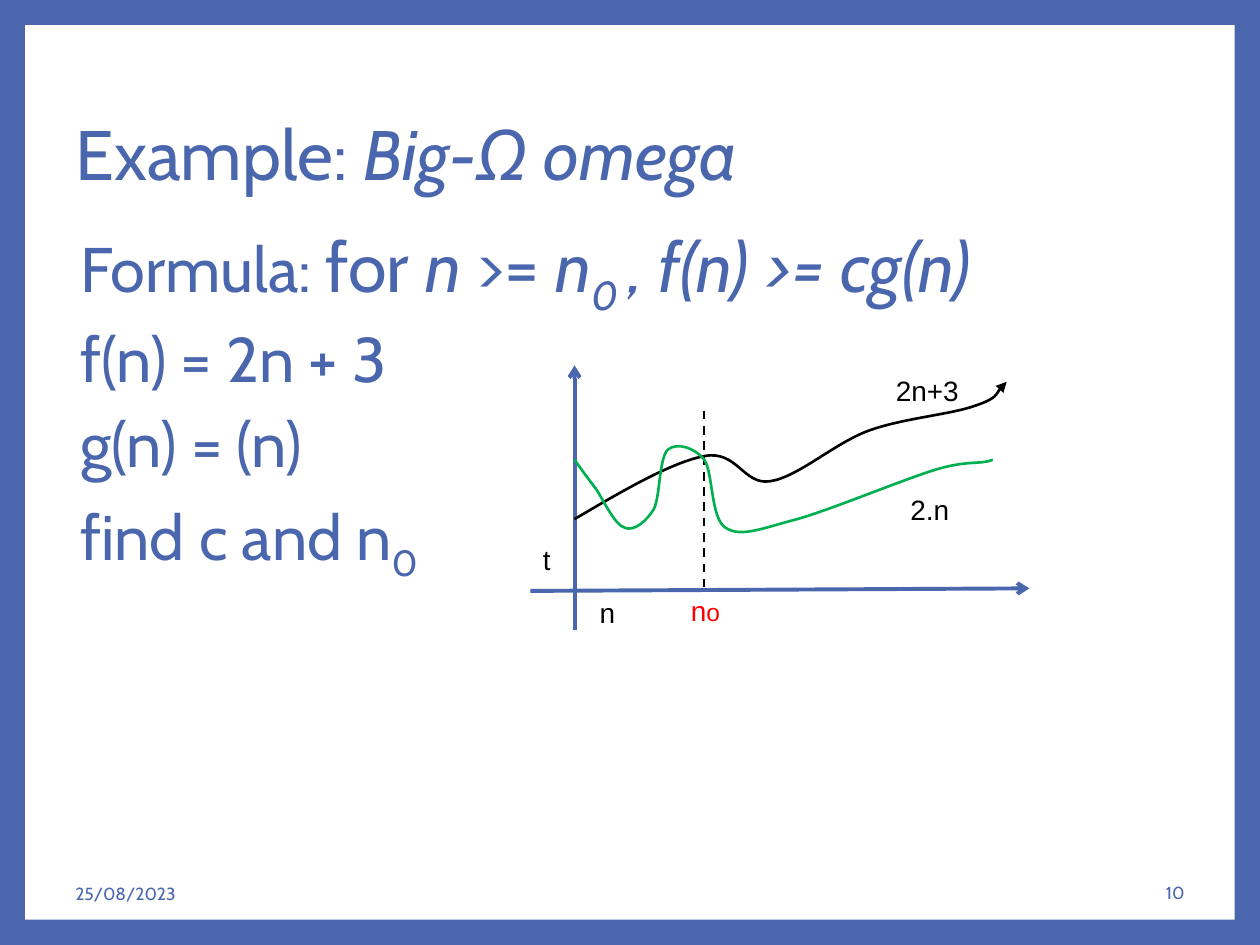
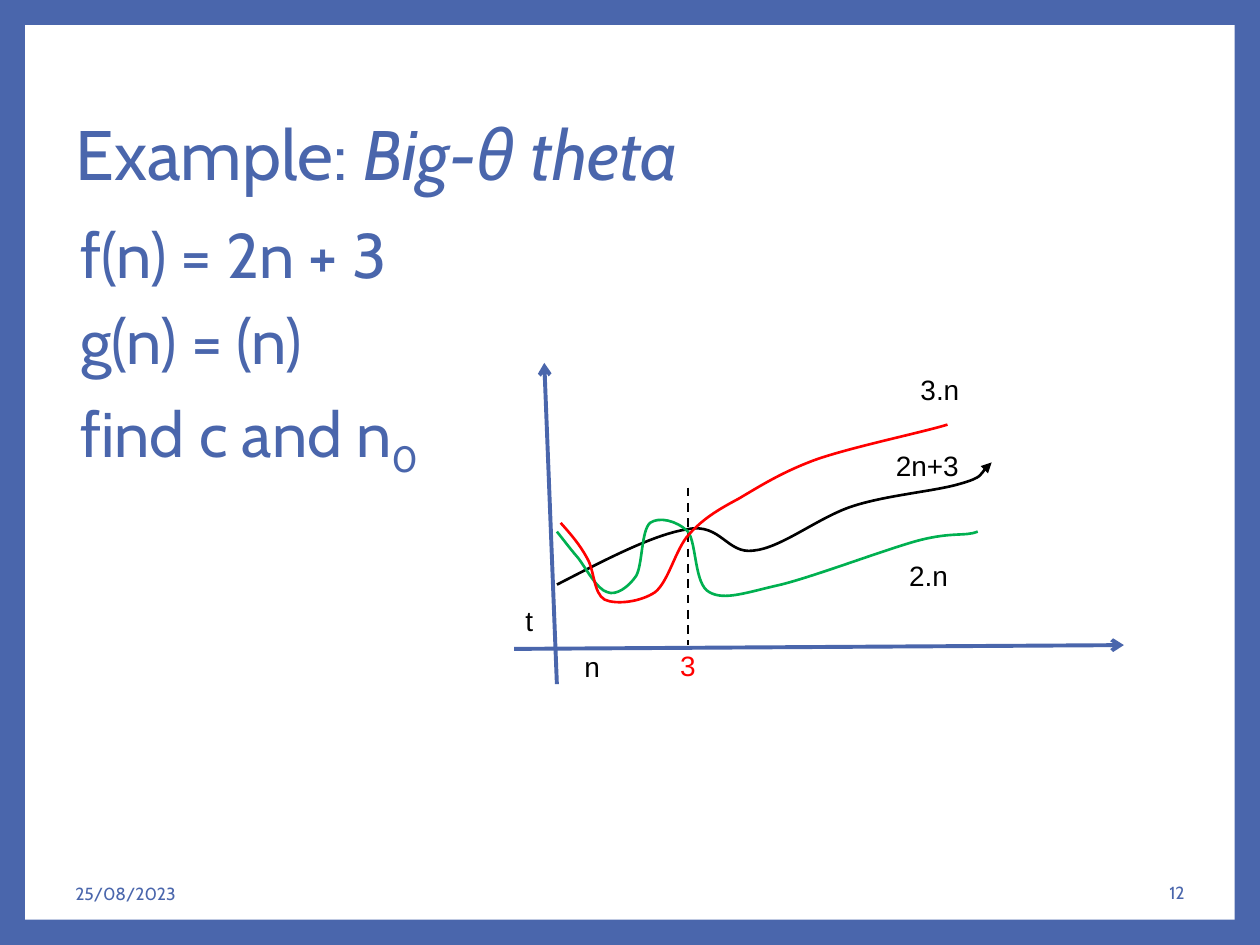
from lxml.etree import SubElement
from pptx import Presentation
from pptx.dml.color import RGBColor
from pptx.enum.dml import MSO_LINE_DASH_STYLE as Dash
from pptx.enum.shapes import MSO_CONNECTOR as Connector, MSO_SHAPE as Shape
from pptx.enum.text import MSO_ANCHOR as Anchor, MSO_AUTO_SIZE as AutoSize, PP_ALIGN as Align
from pptx.oxml.ns import qn
from pptx.util import Pt

PX = 9144
BLUE = RGBColor(0x4A, 0x66, 0xAC)
WHITE = RGBColor(0xFF, 0xFF, 0xFF)
BLACK = RGBColor(0, 0, 0)
GREEN = RGBColor(0, 0xB0, 0x50)
RED = RGBColor(0xFF, 0, 0)
TITLE_ONLY = 5

F_CURVE = [
    (0, 0), (39, -23), (77, -45), (103, -50), (129, -55), (134, -27), (155, -30), (177, -33),
    (206, -60), (233, -70), (260, -80), (299, -83), (318, -90), (336, -96), (338, -106), (343, -109),
]
LOWER_CURVE = [
    (0, -47), (5, -40), (10, -33), (17, -24), (23, -15), (32, 5), (40, 7), (47, 10), (57, 2),
    (63, -8), (68, -18), (67, -48), (74, -55), (81, -61), (95, -57), (103, -47), (110, -37),
    (108, 0), (120, 7), (132, 15), (150, 7), (177, 0), (205, -8), (260, -31), (286, -39),
    (312, -47), (322, -43), (332, -47),
]
UPPER_CURVE = [
    (445, 415), (453, 424), (460, 432), (466, 443), (472, 453), (471, 471), (480, 476),
    (489, 480), (508, 478), (520, 470), (531, 461), (536, 436), (547, 424), (558, 412),
    (569, 405), (586, 396), (603, 386), (620, 375), (647, 365), (675, 355), (733, 343), (752, 337),
]
EXERCISE = [
    [("f(n) = 2n + 3", {})],
    [("g(n) = (n)", {})],
    [("find c and n", {}), ("0", {"baseline": -25})],
]
FORMULA = [
    ("Formula: ", {}),
    ("for ", {"size": 40}),
    ("n", {"size": 40, "italic": True}),
    (" >= ", {"size": 40}),
    ("n", {"size": 40, "italic": True}),
    ("0 ", {"size": 40, "italic": True, "baseline": -25}),
    (", f(n) >= cg(n)", {"size": 40, "italic": True}),
]


def add_span(para, text, size=36, color=BLUE, font="Cabin", italic=False, baseline=0):
    span = para.add_run()
    span.text = text
    span.font.size = Pt(size)
    span.font.name = font
    span.font.italic = italic
    span.font.color.rgb = color
    if baseline:
        span._r.get_or_add_rPr().set("baseline", str(baseline * 1000))


def add_box(shapes, left, top, width, height, anchor=Anchor.MIDDLE):
    box = shapes.add_textbox(left * PX, top * PX, width * PX, height * PX)
    box.text_frame.word_wrap = True
    box.text_frame.vertical_anchor = anchor
    return box.text_frame


def add_panel(page):
    panel = page.shapes.add_shape(Shape.RECTANGLE, 20 * PX, 20 * PX, 960 * PX, 710 * PX)
    panel.shadow.inherit = False
    panel.fill.solid()
    panel.fill.fore_color.rgb = WHITE
    panel.line.fill.background()
    page.shapes._spTree.insert(2, panel._element)


def set_title(page, topic):
    title = page.shapes.title
    title.left, title.top, title.width, title.height = 50 * PX, 50 * PX, 900 * PX, 150 * PX
    title.text_frame.auto_size = AutoSize.NONE
    title.text_frame.vertical_anchor = Anchor.MIDDLE
    para = title.text_frame.paragraphs[0]
    para.alignment = Align.LEFT
    para.line_spacing = 0.9
    add_span(para, "Example: ", size=40)
    add_span(para, topic, size=40, italic=True)


def add_footer(page, number):
    date = add_box(page.shapes, 50, 683, 233, 52).paragraphs[0]
    add_span(date, "25/08/2023", size=10)
    para = add_box(page.shapes, 717, 683, 233, 50).paragraphs[0]
    para.alignment = Align.RIGHT
    add_span(para, str(number), size=10)


def add_page(deck, topic, number):
    page = deck.slides.add_slide(deck.slide_layouts[TITLE_ONLY])
    add_panel(page)
    set_title(page, topic)
    add_footer(page, number)
    return page


def add_body(page, lines):
    frame = add_box(page.shapes, 50, 173, 908, 425, Anchor.TOP)
    for index, spans in enumerate(lines):
        para = frame.add_paragraph() if index else frame.paragraphs[0]
        para.line_spacing = 0.9
        para.space_before = Pt(10)
        para._p.get_or_add_pPr().set("marL", str(4 * PX))
        for text, style in spans:
            add_span(para, text, **style)


def style_line(shape, color, width, arrow=None, dash=None):
    shape.line.color.rgb = color
    shape.line.width = Pt(width)
    if dash:
        shape.line.dash_style = dash
    if arrow:
        SubElement(shape.line._get_or_add_ln(), qn("a:tailEnd"), type=arrow)


def add_line(plot, start, end, color, width, **style):
    ends = [value * PX for value in (*start, *end)]
    line = plot.shapes.add_connector(Connector.STRAIGHT, *ends)
    style_line(line, color, width, **style)
    SubElement(line._element.spPr, qn("a:effectLst"))


def add_curve(plot, points, color, arrow=None):
    builder = plot.shapes.build_freeform(*points[0], scale=PX)
    builder.add_line_segments(points[1:], close=False)
    curve = builder.convert_to_shape()
    curve.shadow.inherit = False
    curve.fill.background()
    style_line(curve, color, 1.5, arrow)
    segments = list(curve._element.iter(qn("a:lnTo")))
    outline = segments[0].getparent()
    for first in range(0, len(segments), 3):
        bezier = SubElement(outline, qn("a:cubicBezTo"))
        for segment in segments[first:first + 3]:
            bezier.append(segment[0])
            outline.remove(segment)


def add_label(plot, center_x, center_y, *spans, color=BLACK):
    para = add_box(plot.shapes, center_x - 50, center_y - 21, 100, 42).paragraphs[0]
    para.alignment = Align.CENTER
    for text, size in spans:
        add_span(para, text, size=size, color=color, font="Arial")


def place(points, left, base, stretch_x, stretch_y):
    return [(round(left + x * stretch_x), round(base + y * stretch_y)) for x, y in points]


def add_plot(page, t_axis, n_axis, threshold, position, labels, threshold_label):
    plot = page.shapes.add_group_shape()
    for axis in (t_axis, n_axis):
        add_line(plot, *axis, BLUE, 2.25, arrow="arrow")
    add_curve(plot, place(F_CURVE, *position), BLACK, arrow="triangle")
    add_line(plot, *threshold, BLACK, 1.25, dash=Dash.DASH)
    add_curve(plot, place(LOWER_CURVE, *position), GREEN)
    for text, x, y in labels:
        add_label(plot, x, y, (text, 16))
    add_label(plot, *threshold_label, color=RED)
    return plot


def main():
    deck = Presentation()
    deck.slide_width, deck.slide_height = 1000 * PX, 750 * PX
    backdrop = deck.slide_master.background.fill
    backdrop.solid()
    backdrop.fore_color.rgb = BLUE

    omega = add_page(deck, "Big-Ω omega", 10)
    add_body(omega, [FORMULA] + EXERCISE)
    add_plot(
        omega,
        t_axis=((456, 500), (456, 290)),
        n_axis=((421, 469), (817, 467)),
        threshold=((559, 326), (559, 466)),
        position=(456, 412, 1, 1),
        labels=[("2n+3", 736, 310), ("2.n", 738, 404), ("n", 482, 486), ("t", 434, 444)],
        threshold_label=(560, 484, ("n", 16), ("o", 14)),
    )

    theta = add_page(deck, "Big-θ theta", 12)
    add_body(theta, EXERCISE)
    plot = add_plot(
        theta,
        t_axis=((442, 543), (432, 288)),
        n_axis=((408, 515), (892, 512)),
        threshold=((546, 387), (546, 512)),
        position=(442, 464, 1.005, 0.89),
        labels=[("2n+3", 736, 369), ("2.n", 737, 457), ("n", 470, 529), ("t", 420, 492),
                ("3.n", 746, 309)],
        threshold_label=(546, 528, ("3", 16)),
    )
    add_curve(plot, UPPER_CURVE, RED)

    deck.save("out.pptx")


if __name__ == "__main__":
    main()
